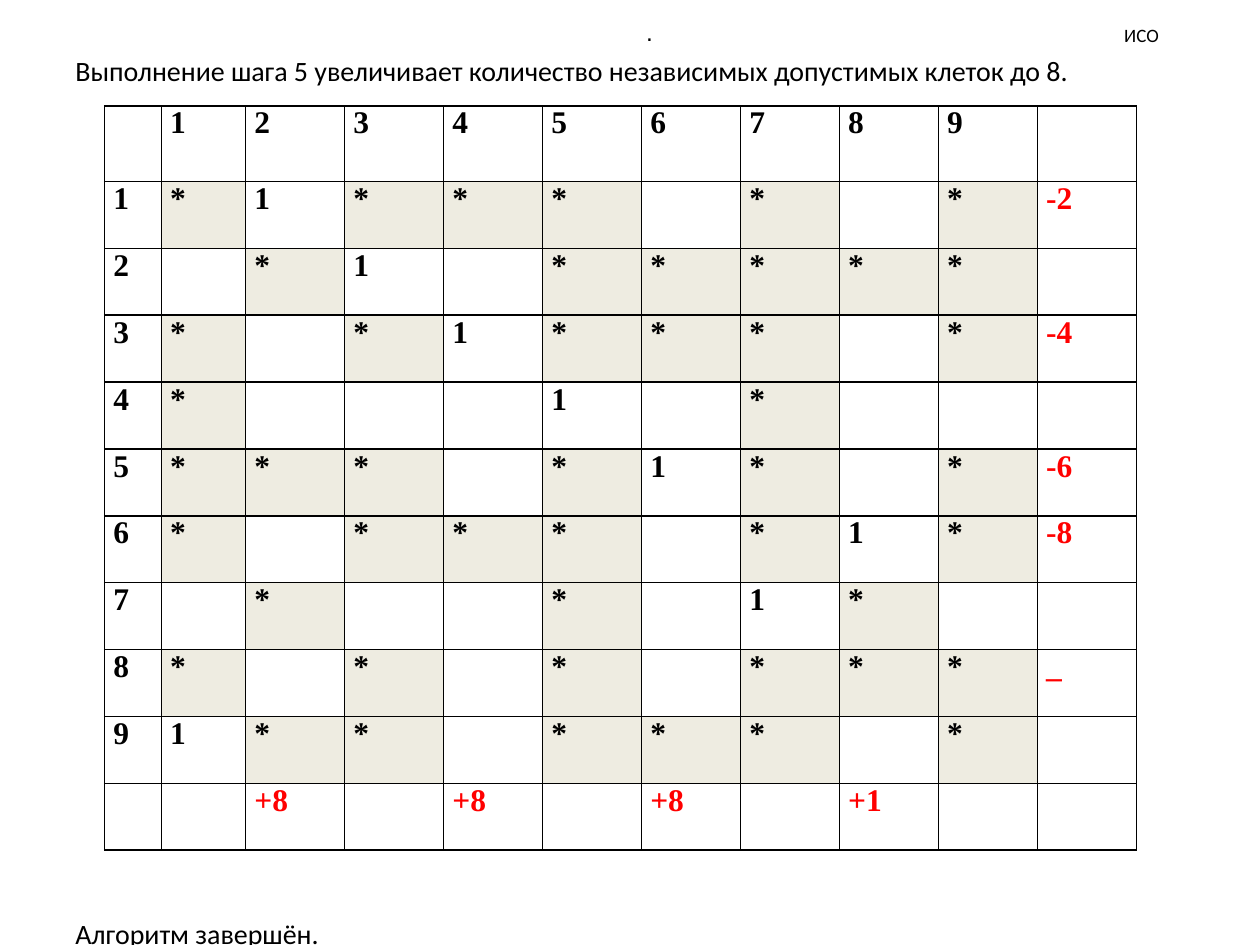
from dataclasses import dataclass

from lxml.etree import SubElement
from pptx import Presentation
from pptx.dml.color import RGBColor
from pptx.enum.text import MSO_ANCHOR, PP_ALIGN
from pptx.oxml.ns import qn
from pptx.util import Inches, Pt

BLACK = RGBColor(0x00, 0x00, 0x00)
RED = RGBColor(0xFF, 0x00, 0x00)
WHITE = RGBColor(0xFF, 0xFF, 0xFF)
SAND = RGBColor(0xEE, 0xEC, 0xE1)

WIDTH, HEIGHT = Inches(10), Inches(7.5)

# One string per row, cells split by spaces; a dot is an empty cell.
GRID = [row.split() for row in (
    ". 1 2 3 4 5 6 7 8 9 .",
    "1 * 1 * * * . * . * -2",
    "2 . * 1 . * * * * * .",
    "3 * . * 1 * * * . * -4",
    "4 * . . . 1 . * . . .",
    "5 * * * . * 1 * . * -6",
    "6 * . * * * . * 1 * -8",
    "7 . * . . * . 1 * . .",
    "8 * . * . * . * * * _",
    "9 1 * * . * * * . * .",
    ". . +8 . +8 . +8 . +1 . .",
)]
LAST = len(GRID) - 1


@dataclass
class Note:
    """Text box; x, y, w and h are shares of the slide."""
    lines: list[str]
    x: float
    y: float
    w: float
    h: float
    size: float
    font: str = "Calibri"
    align: PP_ALIGN = PP_ALIGN.LEFT
    anchor: MSO_ANCHOR = MSO_ANCHOR.MIDDLE
    gap: float = 0


NOTES = [
    Note(["ИСО"], 0.862, 0.017, 0.088, 0.04, 10.8, align=PP_ALIGN.CENTER),
    Note(["Выполнение шага 5 увеличивает количество независимых "
          "допустимых клеток до 8.", "Алгоритм завершён."],
         0.05, 0.05, 0.9, 0.93, 16, anchor=MSO_ANCHOR.TOP, gap=474),
    Note(["."], 0.503, 0.011, 0.031, 0.045, 14, font="Arial"),
]


def add_note(slide, note: Note) -> None:
    box = slide.shapes.add_textbox(
        int(note.x * WIDTH), int(note.y * HEIGHT),
        int(note.w * WIDTH), int(note.h * HEIGHT))
    frame = box.text_frame
    frame.word_wrap = True
    frame.vertical_anchor = note.anchor
    frame.text = "\n".join(note.lines)
    for i, par in enumerate(frame.paragraphs):
        par.alignment = note.align
        par.space_before = Pt(note.gap if i else 0)
        for run in par.runs:
            run.font.name = note.font
            run.font.size = Pt(note.size)
            run.font.color.rgb = BLACK


def add_border(cell) -> None:
    props = cell._tc.get_or_add_tcPr()
    for i, side in enumerate(("a:lnL", "a:lnR", "a:lnT", "a:lnB")):
        line = props.makeelement(qn(side), {"w": str(Pt(1))})
        fill = SubElement(line, qn("a:solidFill"))
        SubElement(fill, qn("a:srgbClr"), val=str(BLACK))
        props.insert(i, line)


def fill_cell(cell, text: str, color: RGBColor) -> None:
    cell.fill.solid()
    cell.fill.fore_color.rgb = SAND if text == "*" else WHITE
    add_border(cell)
    if text == ".":
        return
    cell.margin_left = cell.margin_right = Inches(0.07)
    cell.margin_top = cell.margin_bottom = 0
    cell.text_frame.text = text
    font = cell.text_frame.paragraphs[0].runs[0].font
    font.name = "Times New Roman"
    font.size = Pt(18)
    font.bold = True
    font.color.rgb = color


def add_grid(slide) -> None:
    wide, high = Inches(8.19), Inches(5.91)
    label, first, head = Inches(0.45), Inches(0.67), Inches(0.6)
    table = slide.shapes.add_table(
        len(GRID), len(GRID[0]), Inches(0.83), Inches(0.84), wide, high).table
    table.first_row = table.horz_banding = False
    rest = (wide - label - first) // (LAST - 1)
    for col, size in zip(table.columns, [label, first] + [rest] * (LAST - 1)):
        col.width = size
    for row, size in zip(table.rows, [head] + [(high - head) // LAST] * LAST):
        row.height = size
    for r, row in enumerate(GRID):
        for c, text in enumerate(row):
            color = RED if LAST in (r, c) else BLACK
            fill_cell(table.cell(r, c), text, color)


def main() -> None:
    deck = Presentation()
    deck.slide_width, deck.slide_height = WIDTH, HEIGHT
    slide = deck.slides.add_slide(deck.slide_layouts[6])
    for note in NOTES[:2]:
        add_note(slide, note)
    add_grid(slide)
    add_note(slide, NOTES[2])
    deck.save("out.pptx")


if __name__ == "__main__":
    main()
